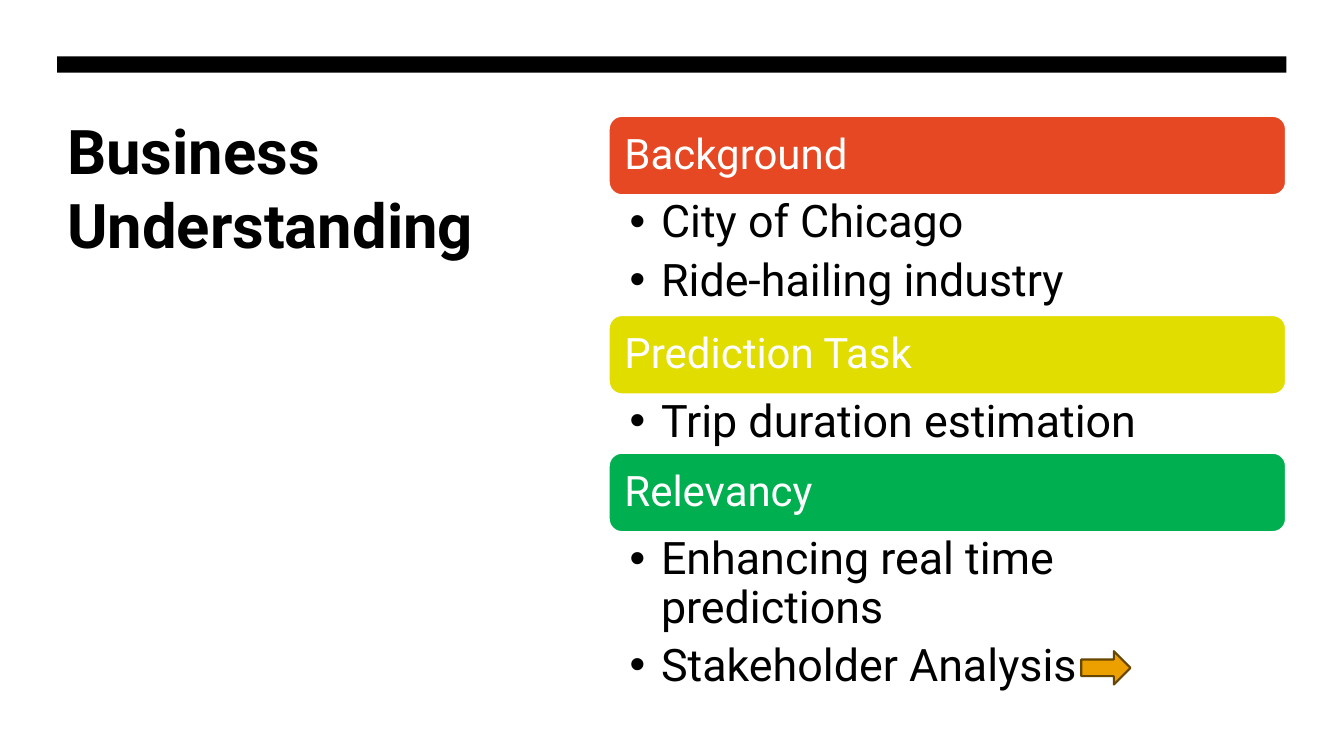
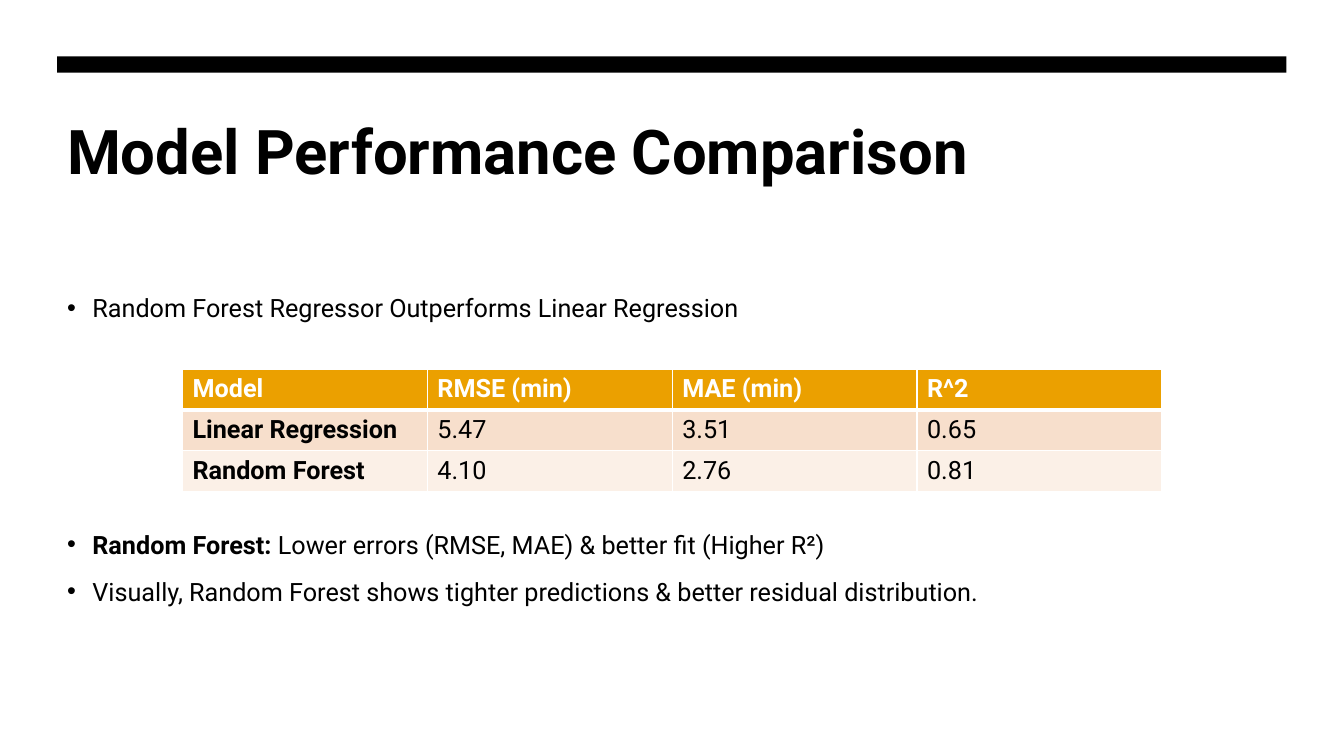
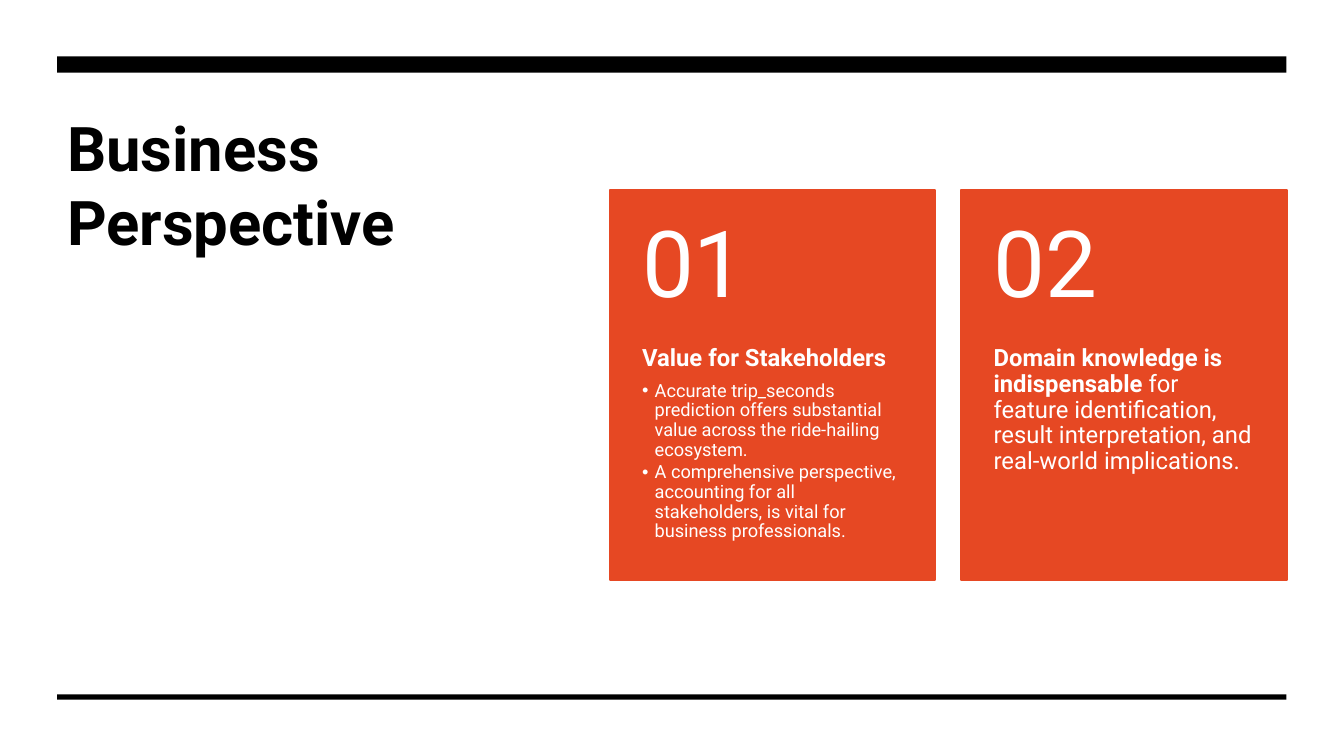
from lxml import etree
from pptx import Presentation
from pptx.dml.color import RGBColor
from pptx.enum.shapes import MSO_SHAPE
from pptx.enum.text import MSO_ANCHOR, PP_ALIGN
from pptx.oxml.ns import qn
from pptx.util import Cm, Pt

RECTANGLE = MSO_SHAPE.RECTANGLE
ROUNDED = MSO_SHAPE.ROUNDED_RECTANGLE
RIGHT_ARROW = MSO_SHAPE.RIGHT_ARROW
TOP, MIDDLE = MSO_ANCHOR.TOP, MSO_ANCHOR.MIDDLE
LEFT = PP_ALIGN.LEFT
TITLE_ONLY = 5

# Shared style, lengths in cm
FONT = "Roboto"
COLORS = {
    "black": "000000", "white": "FFFFFF", "red": "E64823", "yellow": "E2DD00",
    "green": "00B050", "amber": "EBA000", "brown": "674600",
    "row_dark": "F7DFCC", "row_light": "FBF0E7",
}
MARGIN, CONTENT_WIDTH = 1.44, 30.98
NARROW_TITLE = 11.91
DEFAULT_INSETS = (0.25, 0.13, 0.25, 0.13)

# Content
TOPICS = [  # heading, colour, bullets, height of the bullet list
    ("Background", "red", ["City of Chicago", "Ride-hailing industry"], 3.02),
    ("Prediction Task", "yellow", ["Trip duration estimation"], 1.47),
    ("Relevancy", "green",
     ["Enhancing real time predictions", "Stakeholder Analysis"], 4.22),
]
FINDING_BLOCKS = [  # top, paragraphs as lists of (text, bold)
    (7.16, [[("Random Forest Regressor Outperforms Linear Regression", False)]]),
    (13.12, [
        [("Random Forest:", True),
         (" Lower errors (RMSE, MAE) & better fit (Higher R²)", False)],
        [("Visually, Random Forest shows tighter predictions & better "
          "residual distribution.", False)],
    ]),
]
SCORES = [
    ("Model", "RMSE (min)", "MAE (min)", "R^2"),
    ("Linear Regression", "5.47", "3.51", "0.65"),
    ("Random Forest", "4.10", "2.76", "0.81"),
]
CARDS = [  # number, lead runs, bullets
    ("01", [("Value for Stakeholders", True)], [
        "Accurate trip_seconds prediction offers substantial value across "
        "the ride-hailing ecosystem.",
        "A comprehensive perspective, accounting for all stakeholders, is "
        "vital for business professionals.",
    ]),
    ("02", [("Domain knowledge is indispensable", True),
            (" for feature identification, result interpretation, and "
             "real-world implications.", False)], []),
]


def rgb(name):
    return RGBColor.from_string(COLORS[name])


def write(frame, text, size, color="black", bold=False, indent=0, spacing=1.0,
          before=0, after=0):
    """Add one paragraph; text is a string or a list of (text, bold) runs."""
    first = not frame.text
    para = frame.paragraphs[0] if first else frame.add_paragraph()
    para.alignment = LEFT
    para.line_spacing = spacing
    para.space_before = Pt(0 if first else before)
    para.space_after = Pt(after)
    if indent:
        props = para._p.get_or_add_pPr()
        props.set("marL", str(Cm(indent)))
        props.set("indent", str(-Cm(indent)))
        etree.SubElement(props, qn("a:buFont")).set("typeface", "Arial")
        etree.SubElement(props, qn("a:buChar")).set("char", "•")
    for words, strong in [(text, bold)] if isinstance(text, str) else text:
        span = para.add_run()
        span.text = words
        span.font.name = FONT
        span.font.size = Pt(size)
        span.font.bold = strong
        span.font.color.rgb = rgb(color)


def set_frame(frame, insets=DEFAULT_INSETS, anchor=TOP):
    frame.word_wrap = True
    frame.vertical_anchor = anchor
    (frame.margin_left, frame.margin_top,
     frame.margin_right, frame.margin_bottom) = map(Cm, insets)
    return frame


def add_text_frame(page, area, **options):
    box = page.shapes.add_textbox(*map(Cm, area))
    return set_frame(box.text_frame, **options)


def add_block(page, kind, area, fill, line=None):
    block = page.shapes.add_shape(kind, *map(Cm, area))
    block.shadow.inherit = False
    block.fill.solid()
    block.fill.fore_color.rgb = rgb(fill)
    if line:
        block.line.color.rgb = rgb(line)
        block.line.width = Pt(1.5)
    else:
        block.line.fill.background()
    return block


def add_page(deck, title, top, width, height):
    page = deck.slides.add_slide(deck.slide_layouts[TITLE_ONLY])
    add_block(page, RECTANGLE, (MARGIN, 1.42, CONTENT_WIDTH, 0.41), "black")
    holder = page.shapes.title
    holder.left, holder.top = Cm(MARGIN), Cm(top)
    holder.width, holder.height = Cm(width), Cm(height)
    write(set_frame(holder.text_frame), title, 44, bold=True)
    return page


def set_border(cell, side, width):
    props = cell._tc.get_or_add_tcPr()
    line = etree.SubElement(props, qn("a:ln" + side), w=str(Pt(width)))
    fill = etree.SubElement(line, qn("a:solidFill"))
    etree.SubElement(fill, qn("a:srgbClr"), val=COLORS["white"])


def build_understanding(deck):
    page = add_page(deck, "Business Understanding", 2.72, NARROW_TITLE, 14.94)
    left, width, heading_height = 15.34, 17.07, 2
    top = 2.92
    for heading, color, bullets, list_height in TOPICS:
        bar = add_block(page, ROUNDED, (left, top, width, heading_height),
                        color, line="white")
        write(set_frame(bar.text_frame, insets=(0.3,) * 4, anchor=MIDDLE),
              heading, 30, color="white", spacing=0.9)
        top += heading_height
        frame = add_text_frame(page, (left, top, width, list_height),
                               insets=(0.53, 0.1, 0.64, 0.1))
        for bullet in bullets:
            write(frame, bullet, 32, indent=0.79, spacing=0.9, after=7)
        top += list_height
    add_block(page, RIGHT_ARROW, (27.25, 16.41, 1.24, 0.84), "amber", line="brown")


def build_comparison(deck):
    page = add_page(deck, "Model Performance Comparison", 2.72, CONTENT_WIDTH, 4.06)
    for top, paragraphs in FINDING_BLOCKS:
        frame = add_text_frame(page, (MARGIN, top, CONTENT_WIDTH, 1.2 * len(paragraphs)))
        for runs in paragraphs:
            write(frame, runs, 18, indent=0.64, spacing=1.1, before=10)

    # Score table
    rows, columns = len(SCORES), len(SCORES[0])
    table = page.shapes.add_table(rows, columns, Cm(4.6), Cm(9.3),
                                  Cm(6.17 * columns), Cm(1.03 * rows)).table
    fills = ["amber", "row_dark", "row_light"]
    for row, values in enumerate(SCORES):
        for column, value in enumerate(values):
            cell = table.cell(row, column)
            widths = {"L": 1, "R": 1, "T": 3 if row == 1 else 1,
                      "B": 3 if row == 0 else 1}
            for side, line_width in widths.items():
                set_border(cell, side, line_width)
            cell.fill.solid()
            cell.fill.fore_color.rgb = rgb(fills[row])
            write(cell.text_frame, value, 18, bold=row == 0 or column == 0,
                  color="white" if row == 0 else "black")


def build_perspective(deck):
    page = add_page(deck, "Business Perspective", 2.64, NARROW_TITLE, 9.35)
    add_block(page, RECTANGLE, (MARGIN, 17.5, CONTENT_WIDTH, 0.13), "black")
    top, width, number_height, body_height = 4.78, 8.2, 3.94, 5.89
    for index, (number, lead, bullets) in enumerate(CARDS):
        left = 15.37 + index * 8.86
        add_block(page, RECTANGLE, (left, top, width, number_height + body_height),
                  "red", line="red")
        frame = add_text_frame(page, (left, top, width, number_height),
                               insets=(0.81, 0.46, 0.81, 0.46), anchor=MIDDLE)
        write(frame, number, 66, color="white", spacing=0.9)
        frame = add_text_frame(page, (left, top + number_height, width, body_height),
                               insets=(0.81, 0, 0.81, 0.91))
        write(frame, lead, 17, color="white", spacing=0.9, after=7)
        for bullet in bullets:
            write(frame, bullet, 13, color="white", indent=0.32, spacing=0.9, after=2)


def main():
    deck = Presentation()
    deck.slide_width, deck.slide_height = Cm(33.87), Cm(19.05)
    build_understanding(deck)
    build_comparison(deck)
    build_perspective(deck)
    deck.save("out.pptx")


if __name__ == "__main__":
    main()
